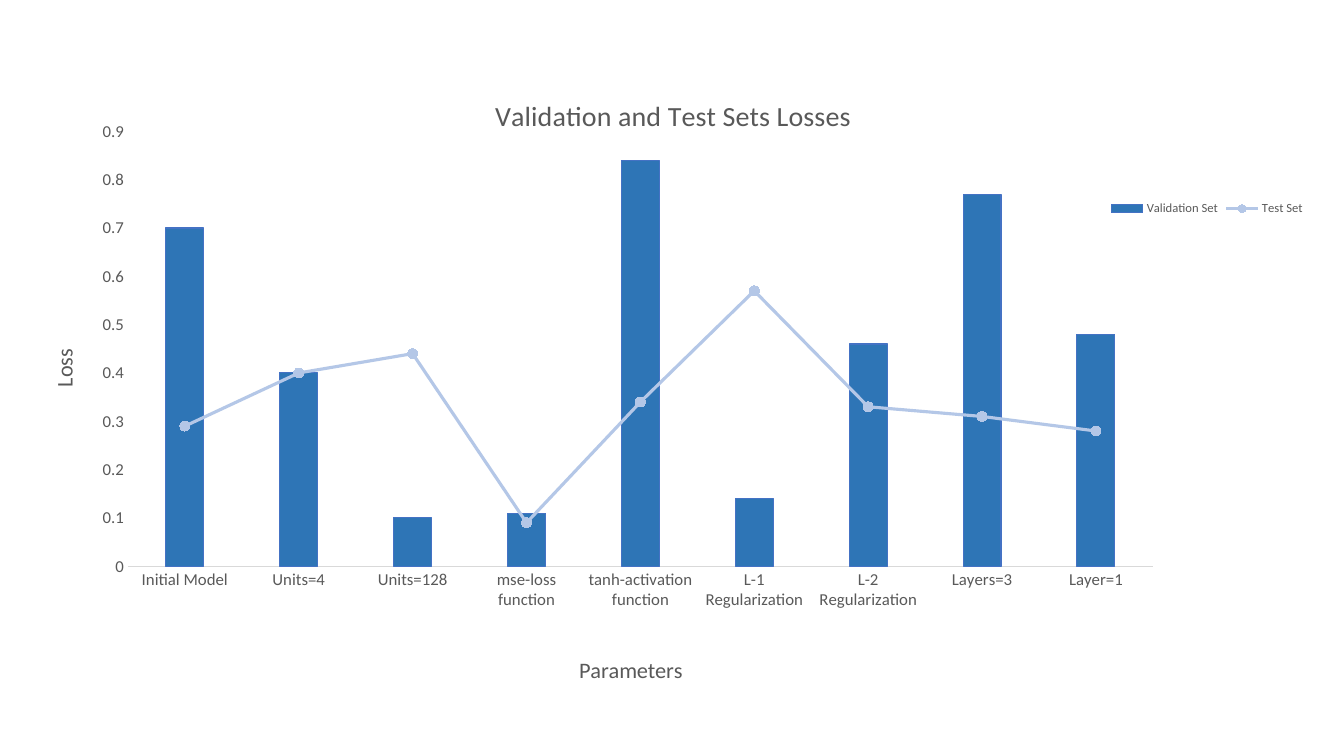
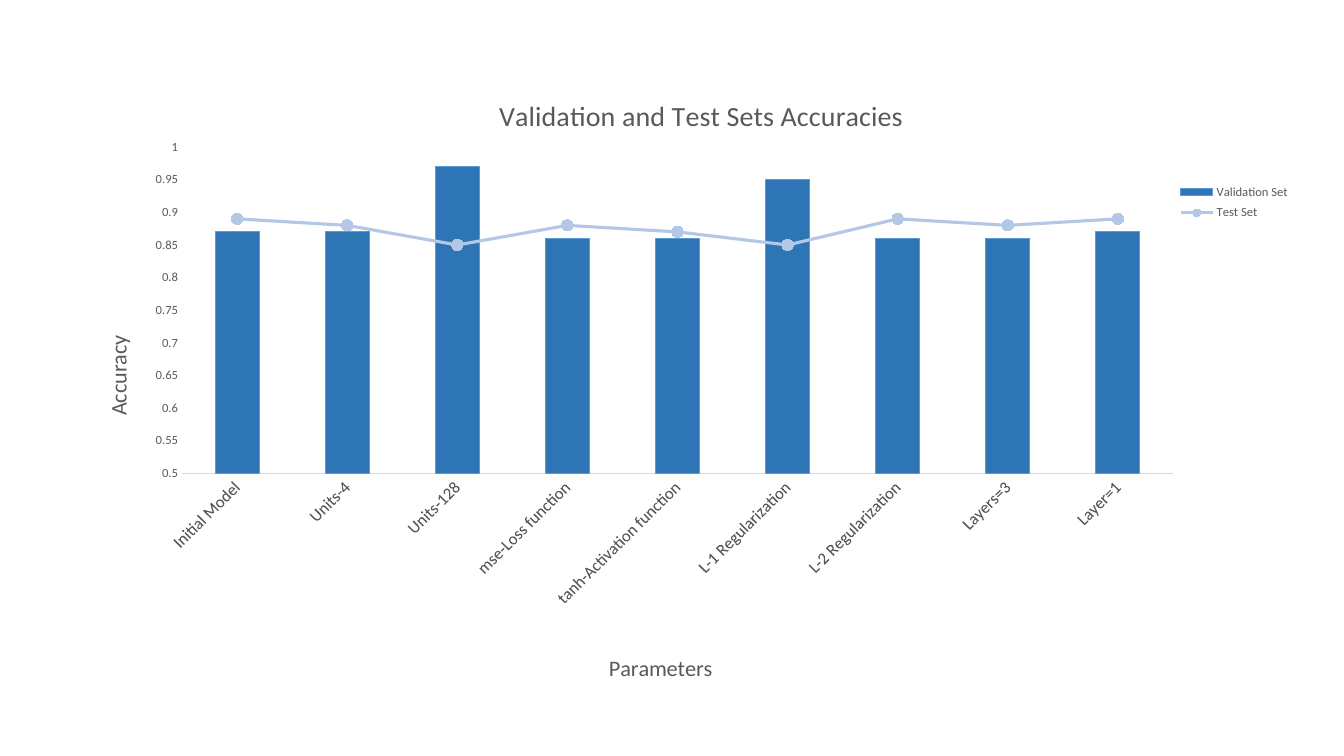
from dataclasses import dataclass

from lxml import etree
from pptx import Presentation
from pptx.chart.chart import Chart
from pptx.chart.data import CategoryChartData
from pptx.dml.color import RGBColor
from pptx.enum.chart import (
    XL_CHART_TYPE,
    XL_LEGEND_POSITION,
    XL_MARKER_STYLE,
    XL_TICK_MARK,
)
from pptx.oxml import parse_xml
from pptx.oxml.ns import nsdecls, qn
from pptx.util import Emu, Pt

COLUMNS = XL_CHART_TYPE.COLUMN_CLUSTERED
LEGEND_RIGHT = XL_LEGEND_POSITION.RIGHT
CIRCLE = XL_MARKER_STYLE.CIRCLE
NO_TICK = XL_TICK_MARK.NONE

SLIDE_WIDTH, SLIDE_HEIGHT = 1344, 756
EMU_PER_PX = 12192000 / SLIDE_WIDTH

GREY = RGBColor(0x59, 0x59, 0x59)
AXIS_GREY = RGBColor(0xD9, 0xD9, 0xD9)
COLUMN_BLUE = RGBColor(0x2E, 0x75, 0xB6)
LINE_BLUE = RGBColor(0xB4, 0xC7, 0xE7)
ROYAL_EDGE = RGBColor(0x44, 0x72, 0xC4)
SKY_EDGE = RGBColor(0x5B, 0x9B, 0xD5)

TEXT_FORMAT = {"name": "Calibri", "bold": False}
TITLE_SIZE, AXIS_TITLE_SIZE, CATEGORY_SIZE, LEGEND_SIZE = 20, 16, 12, 9
UPWARD, SLANTED = -90, -45


@dataclass(frozen=True)
class Box:
    """Slide area in px; width and height stay 0 where text sets the size."""

    left: int
    top: int
    width: int = 0
    height: int = 0


@dataclass(frozen=True)
class LossChart:
    title: str
    measure: str
    categories: tuple[str, ...]
    validation: tuple[float, ...]
    test: tuple[float, ...]
    frame: Box
    plot: Box
    legend: Box
    title_at: Box
    measure_at: Box
    parameters_at: Box
    scale: dict[str, float]
    value_size: int
    label_angle: int
    gap: int
    marker_size: int
    column_edge: RGBColor


CHARTS = (
    LossChart(
        title="Validation and Test Sets Losses",
        measure="Loss",
        categories=(
            "Initial Model", "Units=4", "Units=128", "mse-loss function",
            "tanh-activation function", "L-1 Regularization",
            "L-2 Regularization", "Layers=3", "Layer=1",
        ),
        validation=(0.7, 0.4, 0.1, 0.11, 0.84, 0.14, 0.46, 0.77, 0.48),
        test=(0.29, 0.4, 0.44, 0.09, 0.34, 0.57, 0.33, 0.31, 0.28),
        frame=Box(26, 68, 1284, 623),
        plot=Box(128, 132, 1025, 439),
        legend=Box(1107, 199, 200, 22),
        title_at=Box(490, 91),
        measure_at=Box(45, 348),
        parameters_at=Box(575, 656),
        scale={"minimum_scale": 0, "maximum_scale": 0.9, "major_unit": 0.1},
        value_size=12,
        label_angle=0,
        gap=200,
        marker_size=7,
        column_edge=ROYAL_EDGE,
    ),
    LossChart(
        title="Validation and Test Sets Accuracies",
        measure="Accuracy",
        categories=(
            "Initial Model", "Units-4", "Units-128", "mse-Loss function",
            "tanh-Activation function", "L-1 Regularization",
            "L-2 Regularization", "Layers=3", "Layer=1",
        ),
        validation=(0.87, 0.87, 0.97, 0.86, 0.86, 0.95, 0.86, 0.86, 0.87),
        test=(0.89, 0.88, 0.85, 0.88, 0.87, 0.85, 0.89, 0.88, 0.89),
        frame=Box(73, 68, 1249, 621),
        plot=Box(182, 148, 991, 330),
        legend=Box(1177, 180, 115, 48),
        title_at=Box(494, 91),
        measure_at=Box(99, 335),
        parameters_at=Box(605, 655),
        scale={"minimum_scale": 0.5, "maximum_scale": 1, "major_unit": 0.05},
        value_size=9,
        label_angle=SLANTED,
        gap=150,
        marker_size=8,
        column_edge=SKY_EDGE,
    ),
)


def px(length: int) -> Emu:
    return Emu(round(length * EMU_PER_PX))


def style_font(font, size: int) -> None:
    for attribute, value in TEXT_FORMAT.items():
        setattr(font, attribute, value)
    font.size = Pt(size)
    font.color.rgb = GREY


def style_line(line, color: RGBColor, width: float) -> None:
    line.color.rgb = color
    line.width = Pt(width)


def place(part, index: int, box: Box, frame: Box, inner: bool = False) -> None:
    """Give a chart part a manual layout, as fractions of the chart frame."""
    for former in part.findall(qn("c:layout")):
        part.remove(former)
    layout = parse_xml(f"<c:layout {nsdecls('c')}><c:manualLayout/></c:layout>")
    settings = {"layoutTarget": "inner"} if inner else {}
    settings |= {"xMode": "edge", "yMode": "edge"}
    settings["x"] = (box.left - frame.left) / frame.width
    settings["y"] = (box.top - frame.top) / frame.height
    if box.width:
        settings["w"] = box.width / frame.width
        settings["h"] = box.height / frame.height
    for tag, value in settings.items():
        text = value if isinstance(value, str) else f"{value:.4f}"
        etree.SubElement(layout[0], qn(f"c:{tag}")).set("val", text)
    part.insert(index, layout)


def turn(body, angle: int) -> None:
    body.set("rot", str(angle * 60000))
    body.set("vert", "horz")


def write_title(title, text: str, size: int, at: Box, frame: Box, angle: int = 0) -> None:
    title.text_frame.text = text
    style_font(title.text_frame.paragraphs[0].runs[0].font, size)
    part = title._element
    turn(part.find(".//" + qn("a:bodyPr")), angle)
    place(part, 1, at, frame)


def move_test_set_to_line(chart: Chart) -> None:
    """Turn the second column series into a line on the same axes."""
    columns = chart.plots[0]._element
    test_set = columns.findall(qn("c:ser"))[1]
    line_plot = parse_xml(
        f'<c:lineChart {nsdecls("c")}><c:grouping val="standard"/>'
        '<c:varyColors val="0"/><c:marker val="1"/></c:lineChart>'
    )
    for inversion in test_set.findall(qn("c:invertIfNegative")):
        test_set.remove(inversion)
    line_plot.insert(2, test_set)
    for axis in columns.findall(qn("c:axId")):
        etree.SubElement(line_plot, qn("c:axId")).set("val", axis.get("val"))
    columns.addnext(line_plot)


def style_series(chart: Chart, content: LossChart) -> None:
    column_plot, line_plot = chart.plots
    column_plot.gap_width = content.gap
    column_plot.vary_by_categories = False
    validation_set, test_set = column_plot.series[0], line_plot.series[0]
    validation_set.format.fill.solid()
    validation_set.format.fill.fore_color.rgb = COLUMN_BLUE
    style_line(validation_set.format.line, content.column_edge, 0.75)
    test_set.smooth = False
    style_line(test_set.format.line, LINE_BLUE, 2.25)
    marker = test_set.marker
    marker.style, marker.size = CIRCLE, content.marker_size
    marker.format.fill.solid()
    marker.format.fill.fore_color.rgb = LINE_BLUE
    style_line(marker.format.line, LINE_BLUE, 0.75)


def style_axes(chart: Chart, content: LossChart) -> None:
    parameters, measure = chart.category_axis, chart.value_axis
    for axis, size in ((parameters, CATEGORY_SIZE), (measure, content.value_size)):
        axis.major_tick_mark = axis.minor_tick_mark = NO_TICK
        axis.has_major_gridlines = False
        style_font(axis.tick_labels.font, size)
    style_line(parameters.format.line, AXIS_GREY, 0.75)
    measure.format.line.fill.background()
    for attribute, value in content.scale.items():
        setattr(measure, attribute, value)
    labels = parameters._element.find(qn("c:txPr"))
    turn(labels.find(qn("a:bodyPr")), content.label_angle)
    write_title(parameters.axis_title, "Parameters", AXIS_TITLE_SIZE,
                content.parameters_at, content.frame)
    write_title(measure.axis_title, content.measure, AXIS_TITLE_SIZE,
                content.measure_at, content.frame, UPWARD)


def add_loss_chart(slide, content: LossChart) -> None:
    data = CategoryChartData()
    data.categories = content.categories
    data.add_series("Validation Set", content.validation)
    data.add_series("Test Set", content.test)
    frame = content.frame
    chart = slide.shapes.add_chart(
        COLUMNS, px(frame.left), px(frame.top), px(frame.width), px(frame.height), data
    ).chart
    style_font(chart.font, 10)
    move_test_set_to_line(chart)
    style_series(chart, content)
    style_axes(chart, content)
    chart.has_title = True
    write_title(chart.chart_title, content.title, TITLE_SIZE, content.title_at, frame)
    chart.has_legend = True
    legend = chart.legend
    legend.position = LEGEND_RIGHT
    legend.include_in_layout = False
    style_font(legend.font, LEGEND_SIZE)
    place(legend._element, 1, content.legend, frame)
    plot_area = chart.element.find(".//" + qn("c:plotArea"))
    place(plot_area, 0, content.plot, frame, inner=True)


def main() -> None:
    deck = Presentation()
    deck.slide_width, deck.slide_height = px(SLIDE_WIDTH), px(SLIDE_HEIGHT)
    blank = deck.slide_layouts[6]
    for content in CHARTS:
        add_loss_chart(deck.slides.add_slide(blank), content)
    deck.save("out.pptx")


if __name__ == "__main__":
    main()
